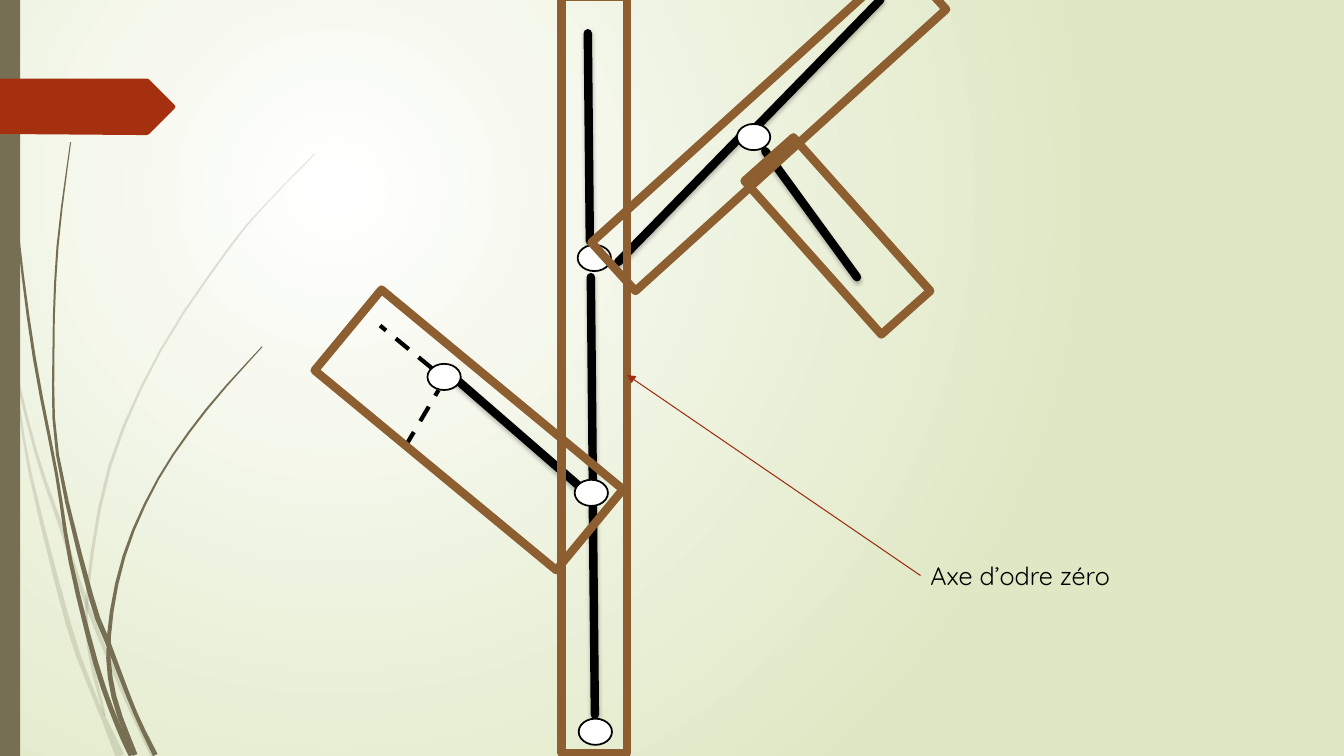
from math import hypot

from lxml.etree import SubElement
from pptx import Presentation
from pptx.dml.color import RGBColor
from pptx.enum.dml import MSO_LINE
from pptx.enum.shapes import MSO_CONNECTOR, MSO_SHAPE
from pptx.oxml.ns import qn
from pptx.util import Inches, Pt

BLACK, WHITE, OLIVE, RED, DARK_RED, BROWN, GREEN = (
    "000000", "FFFFFF", "766F54", "A53010", "9E2E0F", "8D5E2F", "DFE8C4")
LABEL = "Axe d’odre zéro"

# Grass blades: x, y and thickness along each one
PALE_GRASS = [
    [(0, 2.9, 0.04), (0.1, 3.46, 0.03), (0.36, 4.5, 0.03), (0.6, 5.21, 0.04),
     (0.87, 6.02, 0.04), (1.25, 6.93, 0.04), (1.52, 7.5, 0.05)],
    [(0.11, 3.5, 0.01), (0.16, 3.8, 0.01), (0.3, 4.7, 0.03), (0.68, 6.2, 0.05),
     (0.92, 6.87, 0.04), (1.03, 7.13, 0.05), (1.19, 7.5, 0.09)],
    [(3.12, 1.53, 0.01), (2.68, 1.98, 0.01), (2.28, 2.45, 0.02), (1.59, 3.48, 0.02),
     (1.09, 4.62, 0.03), (0.87, 5.84, 0.03), (0.89, 6.46, 0.04), (1.04, 7.1, 0.02)],
]
DARK_GRASS = [
    [(0.04, 0, 0.01), (0.08, 1.1, 0.01), (0.18, 2.33, 0.02), (0.34, 3.55, 0.03),
     (0.56, 4.7, 0.03), (0.7, 5.57, 0.04), (0.95, 6.58, 0.05), (1.16, 7.18, 0.05),
     (1.31, 7.49, 0.07)],
    [(0.7, 1.41, 0.01), (0.57, 2.45, 0.02), (0.53, 3.49, 0.02), (0.57, 4.51, 0.03),
     (0.9, 5.91, 0.05), (1.08, 6.4, 0.05), (1.34, 7.07, 0.04), (1.54, 7.49, 0.05)],
    [(2.6, 3.44, 0.01), (2.05, 4.06, 0.02), (1.57, 4.75, 0.02), (1.23, 5.52, 0.03),
     (1.08, 6.32, 0.04), (1.13, 6.91, 0.05), (1.34, 7.49, 0.05)],
]
RED_TAG = [(0, 0.78), (1.46, 0.78), (1.48, 0.79), (1.73, 1.04), (1.74, 1.06),
           (1.73, 1.08), (1.48, 1.33), (1.46, 1.34), (1.36, 1.34), (0, 1.33)]

# Tree diagram: x1, y1, x2, y2
SEGMENTS = [(5.9, 7.09, 5.88, 5.03), (5.88, 4.81, 5.86, 2.75), (5.85, 2.39, 5.83, 0.33),
            (6.13, 2.6, 7.36, 1.34), (7.51, 1.25, 8.73, 0), (4.51, 3.75, 5.73, 4.81),
            (8.5, 2.75, 7.59, 1.5)]
BUDS = [(4.28, 3.65, 3.77, 3.23), (4.02, 4.43, 4.35, 3.87)]
NODES = [(5.74, 7.13), (5.7, 4.76), (4.24, 3.61), (5.73, 2.43), (7.31, 1.23)]
# left, top, width, height, rotation
TRUNK = (5.57, -0.03, 0.65, 7.5, 0)
BRANCHES = [(7.3, -0.83, 0.65, 4.16, 47.8), (4.13, 2.71, 1.04, 3.11, 129.6),
            (7.98, 1.32, 0.65, 2.04, 138.3)]

prs = Presentation()
prs.slide_width, prs.slide_height = Inches(13.33), Inches(7.5)
s = prs.slides.add_slide(prs.slide_layouts[6])


def rgb(color):
    return RGBColor.from_string(color)


def style(sp, fill=None, line=None, width=1):
    sp.shadow.inherit = False
    if fill:
        sp.fill.solid()
        sp.fill.fore_color.rgb = rgb(fill)
    else:
        sp.fill.background()
    if line:
        sp.line.color.rgb = rgb(line)
        sp.line.width = Pt(width)
    else:
        sp.line.fill.background()
    return sp


def shape(kind, x, y, w, h, *look):
    return style(s.shapes.add_shape(kind, *map(Inches, (x, y, w, h))), *look)


def smooth_knots(knots, steps=3):
    """Catmull-Rom curve through the knots."""
    padded = [knots[0]] + knots + [knots[-1]]
    curve = []
    for a, b, c, d in zip(padded, padded[1:], padded[2:], padded[3:]):
        for t in (i / steps for i in range(steps)):
            curve.append([q + t * (r - p + t * (2 * p - 5 * q + 4 * r - u
                                                + t * (3 * q - p - 3 * r + u))) / 2
                          for p, q, r, u in zip(a, b, c, d)])
    return curve + [knots[-1]]


def blade_outline(knots):
    curve = smooth_knots(knots)
    left, right = [], []
    for before, (x, y, w), after in zip(curve[:1] + curve, curve, curve[1:] + curve[-1:]):
        dx, dy = after[0] - before[0], after[1] - before[1]
        nx, ny = (n * w / 2 / hypot(dx, dy) for n in (-dy, dx))
        left.append((x + nx, y + ny))
        right.append((x - nx, y - ny))
    return left + right[::-1]


def freeform(shapes, outline, color, alpha=None):
    first, *rest = [(Inches(x), Inches(y)) for x, y in outline]
    builder = shapes.build_freeform(*first)
    builder.add_line_segments(rest, close=True)
    sp = style(builder.convert_to_shape(), color)
    if alpha:
        clr = next(sp.element.spPr.iter(qn("a:srgbClr")))
        SubElement(clr, qn("a:alpha"), val=str(alpha * 1000))


def line(ends, color, width):
    c = s.shapes.add_connector(MSO_CONNECTOR.STRAIGHT, *map(Inches, ends))
    c.line.color.rgb = rgb(color)
    c.line.width = Pt(width)
    return c, c.element.spPr.find(qn("a:ln")), SubElement(c.element.spPr, qn("a:effectLst"))


# Background glow
fill = s.background.fill
fill.gradient()
for stop, color in zip(fill.gradient_stops, (WHITE, GREEN)):
    stop.color.rgb = rgb(color)
grad = next(s.element.iter(qn("a:gradFill")))
grad.remove(grad.find(qn("a:lin")))
glow = SubElement(grad, qn("a:path"), {"path": "circle"})
SubElement(glow, qn("a:fillToRect"), l="50000", t="50000", r="100000", b="100000")

# Grass, side bar and tag
for blades, alpha in ((PALE_GRASS, 20), (DARK_GRASS, None)):
    group = s.shapes.add_group_shape()
    for knots in blades:
        freeform(group.shapes, blade_outline(knots), OLIVE, alpha)
shape(MSO_SHAPE.RECTANGLE, 0, 0, 0.2, 7.5, OLIVE)
freeform(s.shapes, RED_TAG, RED)

# Stems with round ends and a soft shadow, then dashed buds
for ends in SEGMENTS:
    _, ln, effects = line(ends, BLACK, 6)
    ln.set("cap", "rnd")
    shadow = SubElement(effects, qn("a:outerShdw"), blurRad=str(Pt(3)), dist=str(Pt(2)),
                        dir="5400000", rotWithShape="0")
    SubElement(SubElement(shadow, qn("a:srgbClr"), val=BLACK), qn("a:alpha"), val="25000")
for ends in BUDS:
    line(ends, BLACK, 3)[0].line.dash_style = MSO_LINE.DASH
for x, y in NODES:
    shape(MSO_SHAPE.OVAL, x, y, 0.33, 0.26, WHITE, BLACK, 1.25)

# Axis frames
frames = []
for *box, angle in [TRUNK] + BRANCHES:
    sp = shape(MSO_SHAPE.RECTANGLE, *box, None, BROWN, 6)
    sp.rotation = angle
    frames.append(sp)

# Label and its arrow to the trunk
label = s.shapes.add_textbox(*map(Inches, (9.13, 5.51, 3.22, 0.4)))
label.text_frame.word_wrap = True
p = label.text_frame.paragraphs[0]
p.text = LABEL
p.font.name, p.font.size, p.font.color.rgb = "Quicksand", Pt(18), rgb(BLACK)
arrow, ln, _ = line((9.13, 5.71, 6.22, 3.72), DARK_RED, 0.75)
arrow.begin_connect(label, 1)
arrow.end_connect(frames[0], 3)
SubElement(ln, qn("a:tailEnd"), type="triangle")

prs.save("out.pptx")
